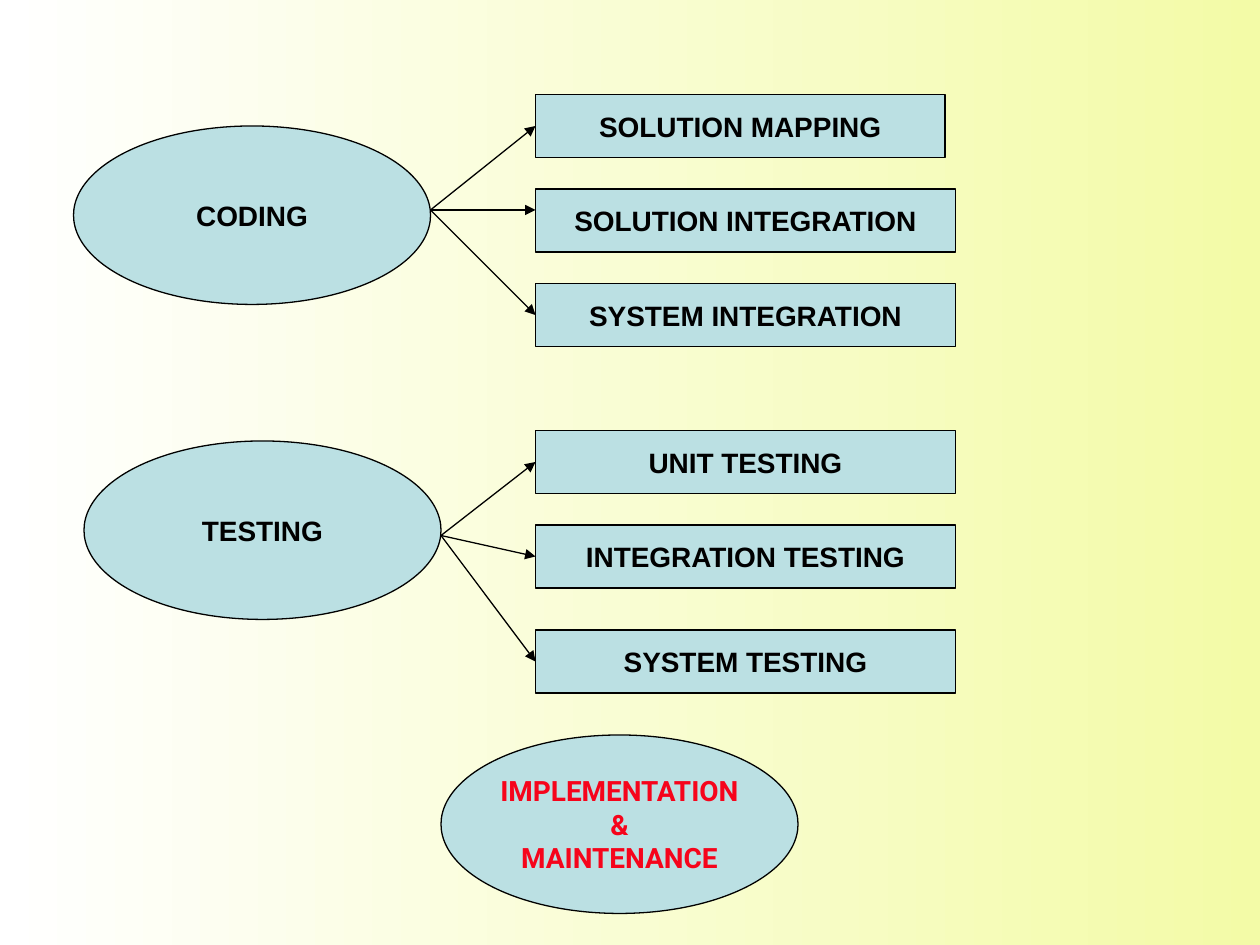
from lxml.etree import SubElement
from pptx import Presentation
from pptx.dml.color import RGBColor
from pptx.enum.shapes import MSO_CONNECTOR as Connector, MSO_SHAPE as Shape
from pptx.enum.text import MSO_ANCHOR as Anchor, PP_ALIGN as Align
from pptx.oxml.ns import qn
from pptx.util import Inches, Pt

COLORS = {
    "fill": "BBE0E3",
    "ink": "000000",
    "accent": "F6041B",
    "right": "F3FBA7",
    "left": "FFFFFF",
}
COLUMNS, ROWS = 120, 90
ELLIPSE_SIZE = (34, 17)
BOX_LEFT, BOX_WIDTH, BOX_HEIGHT = 51, 40, 6

PHASES = [
    ("TESTING", (8, 42), (42, 51), [
        ("UNIT TESTING", 41, BOX_WIDTH, 44),
        ("INTEGRATION TESTING", 50, BOX_WIDTH, 53),
        ("SYSTEM TESTING", 60, BOX_WIDTH, 63),
    ]),
    ("CODING", (7, 12), (41, 20), [
        ("SOLUTION MAPPING", 9, 39, 12),
        ("SOLUTION INTEGRATION", 18, BOX_WIDTH, 20),
        ("SYSTEM INTEGRATION", 27, BOX_WIDTH, 30),
    ]),
]


def rgb(name):
    return RGBColor.from_string(COLORS[name])


class Diagram:
    def __init__(self, presentation):
        self.slide = presentation.slides.add_slide(presentation.slide_layouts[6])
        self.column = presentation.slide_width / COLUMNS
        self.row = presentation.slide_height / ROWS
        self.line_width = Pt(0.75)
        self.text_size = Pt(16)

    def place(self, column, row):
        return round(column * self.column), round(row * self.row)

    def background(self):
        fill = self.slide.background.fill
        fill.gradient()
        fill.gradient_angle = 180
        for stop, name in zip(fill.gradient_stops, ("right", "left")):
            stop.color.rgb = rgb(name)

    def outline(self, line):
        line.color.rgb = rgb("ink")
        line.width = self.line_width

    def node(self, kind, text, position, size, font="Arial", color="ink"):
        shape = self.slide.shapes.add_shape(
            kind, *self.place(*position), *self.place(*size))
        shape.shadow.inherit = False
        shape.fill.solid()
        shape.fill.fore_color.rgb = rgb("fill")
        self.outline(shape.line)
        frame = shape.text_frame
        frame.text = text
        frame.word_wrap = False
        frame.vertical_anchor = Anchor.MIDDLE
        for paragraph in frame.paragraphs:
            paragraph.alignment = Align.CENTER
            for run in paragraph.runs:
                run.font.name = font
                run.font.size = self.text_size
                run.font.bold = True
                run.font.color.rgb = rgb(color)

    def ellipse(self, text, position, **style):
        self.node(Shape.OVAL, text, position, ELLIPSE_SIZE, **style)

    def box(self, text, row, width):
        self.node(Shape.RECTANGLE, text, (BOX_LEFT, row), (width, BOX_HEIGHT))

    def arrow(self, start, end):
        connector = self.slide.shapes.add_connector(
            Connector.STRAIGHT, *self.place(*start), *self.place(*end))
        self.outline(connector.line)
        properties = connector.element.spPr
        SubElement(properties.find(qn("a:ln")), qn("a:tailEnd"), type="triangle")
        SubElement(properties, qn("a:effectLst"))


def main():
    presentation = Presentation()
    presentation.slide_width = Inches(10)
    presentation.slide_height = Inches(7.5)
    diagram = Diagram(presentation)
    diagram.background()
    diagram.ellipse("IMPLEMENTATION\n&\nMAINTENANCE", (42, 70),
                    font="Roboto", color="accent")
    for phase, position, hub, steps in PHASES:
        diagram.ellipse(phase, position)
        for step, row, width, target in steps:
            diagram.box(step, row, width)
            diagram.arrow(hub, (BOX_LEFT, target))
    presentation.save("out.pptx")


if __name__ == "__main__":
    main()
